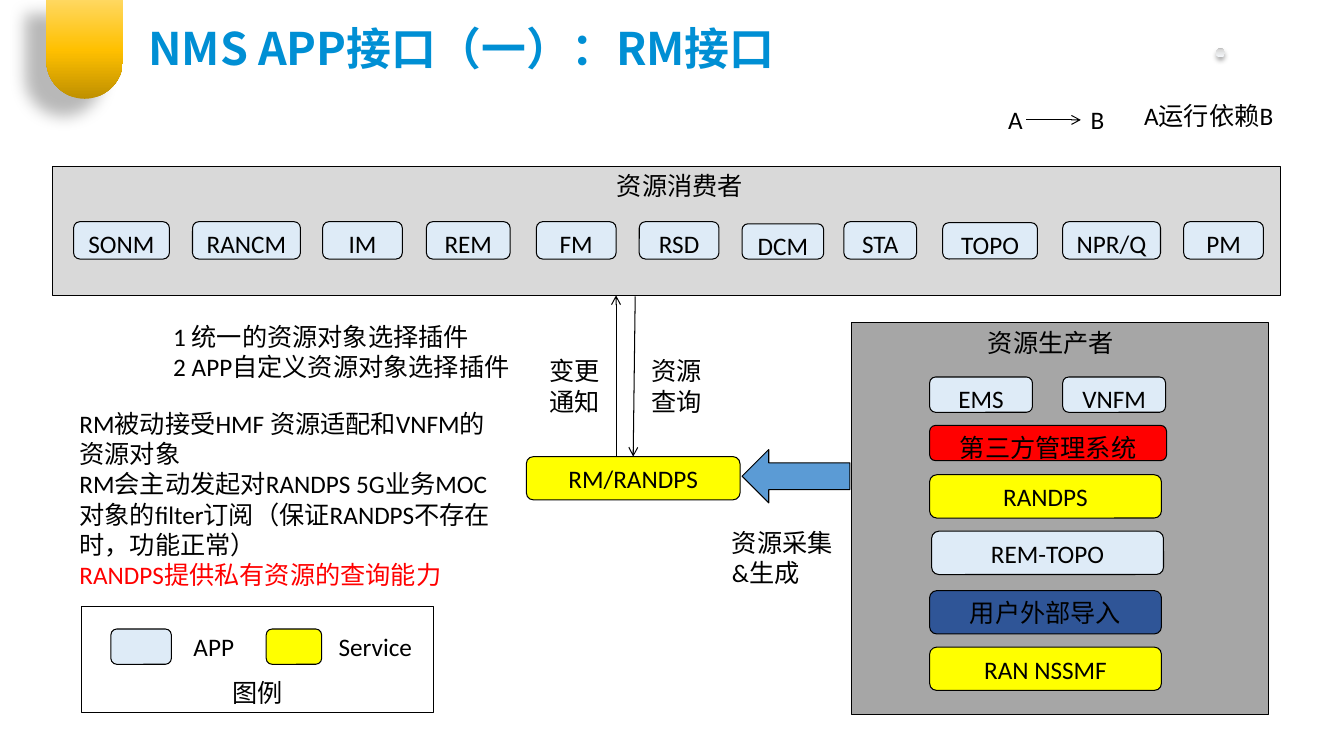
from lxml import etree
from pptx import Presentation
from pptx import util as u
from pptx.dml.color import RGBColor
from pptx.enum import shapes, text
from pptx.oxml.ns import qn

PX = 9144  # 100 px to the inch
LATIN, CJK = "Calibri", "Noto Sans CJK SC"
KIND = shapes.MSO_SHAPE
COLORS = {
    "title": "008FD4", "black": "000000", "white": "FFFFFF", "note": "FF0000",
    "consumer": "D9D9D9", "producer": "A6A6A6", "app": "DEEBF7",
    "service": "FFFF00", "external": "FF0000", "import": "2F5597", "arrow": "5B9BD5",
}
TITLE = "NMS APP接口（一）：RM接口"
TAB_STOPS = [(0, "BF9000"), (48, "FFC000"), (100, "FFD966")]
DOT_STOPS = [(0, "F7FAFD"), (83, "D9D9D9"), (100, "BFBFBF")]

CONSUMER_BOTTOM = 257
CONSUMERS = [  # name, left, top, width
    ("SONM", 73, 220, 95), ("RANCM", 191, 220, 107), ("IM", 320, 220, 79),
    ("REM", 423, 220, 83), ("FM", 532, 220, 79), ("RSD", 634, 220, 79),
    ("DCM", 736, 222, 81), ("STA", 837, 220, 72), ("TOPO", 935, 221, 94),
    ("NPR/Q", 1054, 220, 97), ("PM", 1174, 220, 79),
]
PRODUCERS = [  # name, colour, box
    ("EMS", "app", (922, 374, 102, 35)),
    ("VNFM", "app", (1054, 374, 102, 35)),
    ("第三方管理系统", "external", (922, 422, 235, 35)),
    ("RANDPS", "service", (922, 471, 230, 43)),
    ("REM-TOPO", "app", (924, 527, 230, 43)),
    ("用户外部导入", "import", (922, 586, 230, 43)),
    ("RAN NSSMF", "service", (922, 642, 230, 43)),
]
LEGEND = [  # swatch colour, swatch box, name, name box
    ("app", (110, 624, 60, 35), "APP", (182, 621, 82, 40)),
    ("service", (264, 624, 55, 35), "Service", (326, 621, 128, 40)),
]
LABELS = [  # box, paragraphs
    ((990, 99, 33, 40), ["A"]),
    ((1125, 95, 165, 40), ["A运行依赖B"]),
    ((602, 164, 205, 40), ["资源消费者"]),
    ((970, 320, 182, 40), ["资源生产者"]),
    ((162, 314, 387, 71), ["1 统一的资源对象选择插件", "2 APP自定义资源对象选择插件"]),
    ((535, 348, 79, 71), ["变更", "通知"]),
    ((636, 348, 85, 71), ["资源查询"]),
    ((716, 518, 125, 71), ["资源采集&生成"]),
]
NOTES_BOX = (69, 400, 437, 192)
NOTES = [
    ("RM被动接受HMF 资源适配和VNFM的资源对象", "black"),
    ("RM会主动发起对RANDPS 5G业务MOC对象的filter订阅（保证RANDPS不存在时，功能正常）", "black"),
    ("RANDPS提供私有资源的查询能力", "note"),
]


def rgb(name):
    return RGBColor.from_string(COLORS[name])


def emu(box):
    return [length * PX for length in box]


def add_run(paragraph, words, color="black", size=18, latin=LATIN, bold=False):
    run = paragraph.add_run()
    run.text = words
    font = run.font
    font.size, font.name, font.bold = u.Pt(size), latin, bold
    font.color.rgb = rgb(color)
    latin_tag = run._r.rPr.find(qn("a:latin"))
    east_asian = etree.Element(qn("a:ea"), typeface=CJK)
    latin_tag.addnext(east_asian)


def add_box(slide, box, color, words="", kind=KIND.ROUNDED_RECTANGLE, anchor=text.MSO_ANCHOR.TOP):
    shape = slide.shapes.add_shape(kind, *emu(box))
    shape.shadow.inherit = False
    shape.fill.solid()
    shape.fill.fore_color.rgb = rgb(color)
    shape.line.color.rgb = rgb("black")
    shape.line.width = u.Pt(0.75)
    if words:
        shape.text_frame.vertical_anchor = anchor
        paragraph = shape.text_frame.paragraphs[0]
        paragraph.alignment = text.PP_ALIGN.CENTER
        add_run(paragraph, words)
    return shape


def add_label(slide, box, lines):
    """Add a text box; lines holds (words, colour) pairs, one per paragraph."""
    label = slide.shapes.add_textbox(*emu(box))
    frame = label.text_frame
    frame.word_wrap = True
    frame.auto_size = text.MSO_AUTO_SIZE.SHAPE_TO_FIT_TEXT
    for index, (words, color) in enumerate(lines):
        paragraph = frame.add_paragraph() if index else frame.paragraphs[0]
        add_run(paragraph, words, color)
    return label


def add_arrow(slide, start, end):
    arrow = slide.shapes.add_connector(shapes.MSO_CONNECTOR.STRAIGHT, *emu(start + end))
    arrow.line.color.rgb = rgb("black")
    arrow.line.width = u.Pt(0.75)
    etree.SubElement(arrow.line._get_or_add_ln(), qn("a:tailEnd"), type="arrow")
    etree.SubElement(arrow._element.spPr, qn("a:effectLst"))
    return arrow


def add_ornament(slide, kind, box, stops, angle, shadow):
    """Add a gradient shape; shadow is opacity %, blur pt, distance pt, direction."""
    shape = slide.shapes.add_shape(kind, *emu(box))
    shape.line.fill.background()
    shape.shadow.inherit = False
    shape.fill.gradient()
    properties = shape._element.spPr
    gradient = properties.find(qn("a:gradFill"))
    for child in list(gradient):
        gradient.remove(child)
    stop_list = etree.SubElement(gradient, qn("a:gsLst"))
    for position, color in stops:
        stop = etree.SubElement(stop_list, qn("a:gs"), pos=str(position * 1000))
        etree.SubElement(stop, qn("a:srgbClr"), val=color)
    etree.SubElement(gradient, qn("a:lin"), ang=str(angle * 60000), scaled="0")

    opacity, blur, distance, direction = shadow
    outer = etree.SubElement(
        properties.find(qn("a:effectLst")), qn("a:outerShdw"),
        blurRad=str(u.Pt(blur)), dist=str(u.Pt(distance)),
        dir=str(direction * 60000), algn="ctr", rotWithShape="0")
    shade = etree.SubElement(outer, qn("a:srgbClr"), val=COLORS["black"])
    etree.SubElement(shade, qn("a:alpha"), val=str(opacity * 1000))
    return shape


def format_title(title):
    title.left, title.top, title.width, title.height = emu((137, 9, 1069, 77))
    frame = title.text_frame
    frame.auto_size = text.MSO_AUTO_SIZE.NONE
    frame.vertical_anchor = text.MSO_ANCHOR.MIDDLE
    paragraph = frame.paragraphs[0]
    paragraph.alignment = text.PP_ALIGN.LEFT
    add_run(paragraph, TITLE, "title", 32, CJK, True)


def main():
    presentation = Presentation()
    presentation.slide_width, presentation.slide_height = emu((1333, 750))
    slide = presentation.slides.add_slide(presentation.slide_layouts[5])
    format_title(slide.shapes.title)

    dot = add_ornament(slide, KIND.OVAL, (1206, 48, 9, 9), DOT_STOPS, 90, (32, 3.5, 2.2, 90))
    dot.rotation = 180
    tab = add_ornament(slide, KIND.ROUND_2_SAME_RECTANGLE, (46, -3, 76, 101),
                       TAB_STOPS, 270, (28, 11.8, 19.7, 141))
    tab.adjustments[0], tab.adjustments[1] = 0, 0.5

    add_box(slide, (845, 320, 413, 389), "producer", kind=KIND.RECTANGLE)
    add_box(slide, (52, 165, 1218, 128), "consumer", kind=KIND.RECTANGLE)
    for name, left, top, width in CONSUMERS:
        add_box(slide, (left, top, width, CONSUMER_BOTTOM - top), "app", name)
    for name, color, box in PRODUCERS:
        add_box(slide, box, color, name)

    manager = add_box(slide, (522, 453, 212, 43), "service", "RM/RANDPS")
    add_box(slide, (736, 446, 107, 53), "arrow", kind=KIND.LEFT_ARROW)
    add_arrow(slide, (630, 294), (628, 453)).end_connect(manager, 0)
    add_arrow(slide, (611, 452), (611, 293))

    add_box(slide, (81, 602, 349, 105), "white", "图例", KIND.RECTANGLE, text.MSO_ANCHOR.BOTTOM)
    for color, swatch, name, box in LEGEND:
        add_box(slide, swatch, color)
        add_label(slide, box, [(name, "black")])

    for box, lines in LABELS:
        add_label(slide, box, [(words, "black") for words in lines])
    add_label(slide, NOTES_BOX, NOTES)
    dependency = add_label(slide, (1072, 99, 33, 40), [("B", "black")])
    add_arrow(slide, (1018, 119), (1072, 119)).end_connect(dependency, 1)

    presentation.save("out.pptx")


if __name__ == "__main__":
    main()
